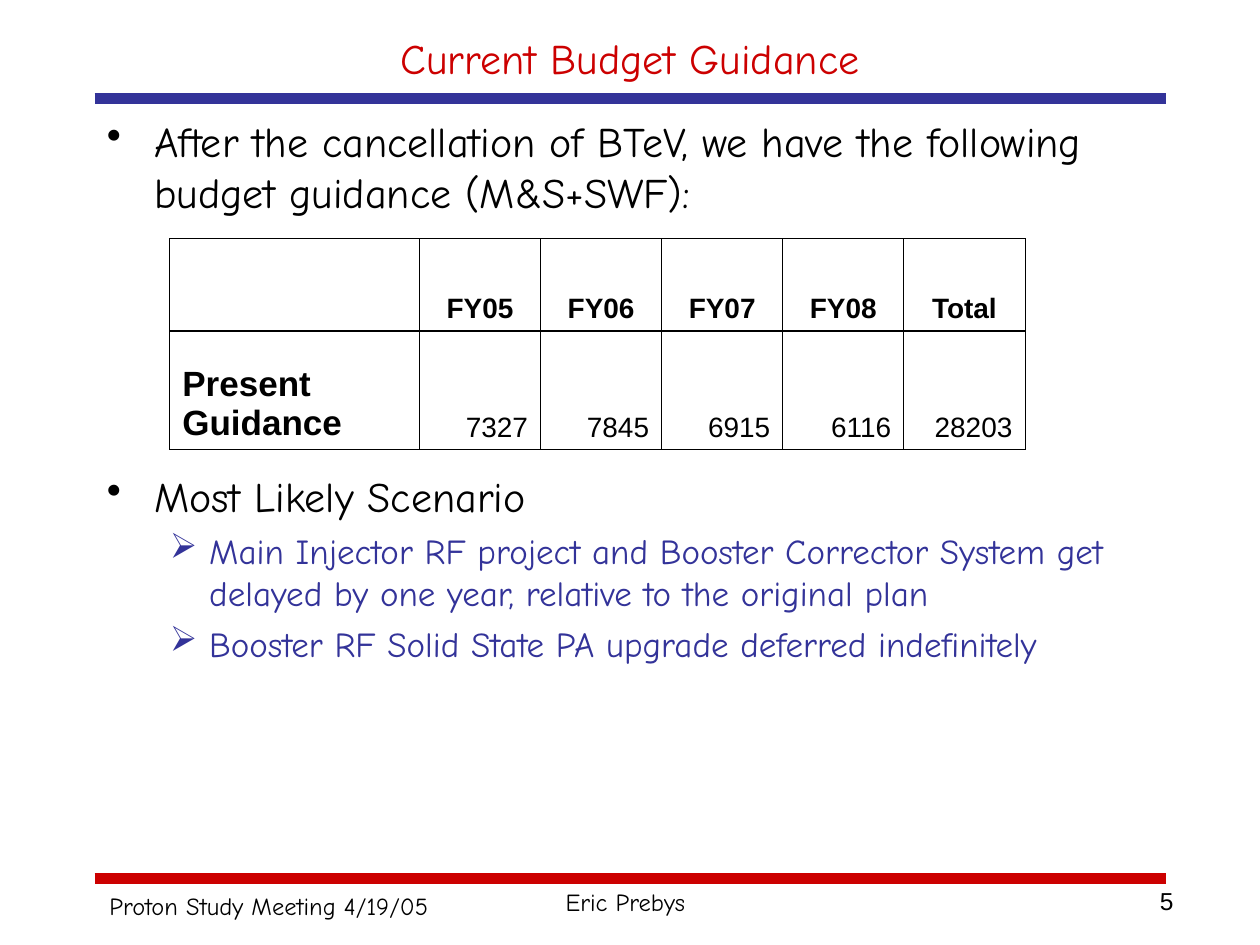
"""Build the budget guidance slide with its table and scenario bullets."""
from lxml.etree import SubElement
from pptx import Presentation
from pptx.dml.color import RGBColor
from pptx.enum.shapes import MSO_CONNECTOR
from pptx.enum.text import MSO_ANCHOR as Anchor, PP_ALIGN as Align
from pptx.oxml.ns import qn
from pptx.util import Pt

COLORS = {"ink": "000000", "red": "CC0000", "blue": "333399"}
COMIC, ARIAL = "Comic Neue", "Arial"

RULES = [("red", 501.9), ("blue", 56.2)]
LABELS = [
    ("Proton Study Meeting 4/19/05", (55.4, 505.5, 202.3, 24.5), dict(size=14)),
    ("Eric Prebys", (316.1, 503.3, 199.4, 24.5), dict(size=14)),
    ("Current Budget Guidance", (54, 12.2, 612, 41.8),
     dict(size=24, color="red", align=Align.CENTER, anchor=Anchor.MIDDLE)),
    ("5", (509.8, 502.6, 167.8, 37.4), dict(size=14, font=ARIAL, align=Align.RIGHT)),
]
LEVELS = [
    dict(mark="•", left=27, hang=27, size=24, color="ink"),
    dict(mark="➢", left=58.5, hang=22.5, size=20, color="blue"),
]
BULLETS = [
    (0, 0, "After the cancellation of BTeV, we have the following budget guidance (M&S+SWF):"),
    (0, 145, "Most Likely Scenario"),
    (1, 5, "Main Injector RF project and Booster Corrector System get delayed by one year, "
           "relative to the original plan"),
    (1, 5, "Booster RF Solid State PA upgrade deferred indefinitely"),
]
BUDGET = [
    ["", "FY05", "FY06", "FY07", "FY08", "Total"],
    ["Present Guidance", "7327", "7845", "6915", "6116", "28203"],
]
COLUMN_WIDTHS = [142.7] + [69.2] * 5
ROW_HEIGHTS = [53, 67.7]
HEADER = dict(size=16, font=ARIAL, bold=True, align=Align.CENTER)
ROW_NAME = dict(size=20, font=ARIAL, bold=True)
AMOUNT = dict(size=16, font=ARIAL, align=Align.RIGHT)
THIN, THICK = 0.45, 0.96


def rgb(color):
    return RGBColor.from_string(COLORS[color])


def write(paragraph, text, size, font=COMIC, color="ink", bold=False, align=Align.LEFT):
    paragraph.text = text
    paragraph.alignment = align
    paragraph.font.color.rgb = rgb(color)
    for name, value in dict(name=font, size=Pt(size), bold=bold).items():
        setattr(paragraph.font, name, value)


def add_frame(slide, place, anchor=Anchor.TOP):
    frame = slide.shapes.add_textbox(*map(Pt, place)).text_frame
    frame.word_wrap = True
    frame.vertical_anchor = anchor
    return frame


def add_rule(slide, color, top):
    rule = slide.shapes.add_connector(MSO_CONNECTOR.STRAIGHT, Pt(54), Pt(top), Pt(666), Pt(top))
    rule.line.color.rgb = rgb(color)
    rule.line.width = Pt(6)
    SubElement(rule._element.spPr, qn("a:effectLst"))


def add_bullets(slide):
    frame = add_frame(slide, (54, 62.6, 612, 434.9))
    for i, (level, gap, text) in enumerate(BULLETS):
        style = LEVELS[level]
        paragraph = frame.add_paragraph() if i else frame.paragraphs[0]
        paragraph.level = level
        paragraph.space_before = Pt(gap)
        props = paragraph._p.get_or_add_pPr()
        props.set("marL", str(Pt(style["left"])))
        props.set("indent", str(-Pt(style["hang"])))
        bullet_color = SubElement(props, qn("a:buClr"))
        SubElement(bullet_color, qn("a:srgbClr"), val=COLORS[style["color"]])
        SubElement(props, qn("a:buChar"), char=style["mark"])
        write(paragraph, text, style["size"], color=style["color"])


def add_borders(cell, widths):
    props = cell._tc.get_or_add_tcPr()
    for side, width in widths.items():
        border = SubElement(props, qn(f"a:ln{side}"), w=str(Pt(width)))
        fill = SubElement(border, qn("a:solidFill"))
        SubElement(fill, qn("a:srgbClr"), val=COLORS["ink"])


def add_budget(slide):
    table = slide.shapes.add_table(
        len(BUDGET), len(COLUMN_WIDTHS), Pt(97), Pt(136.2),
        Pt(sum(COLUMN_WIDTHS)), Pt(sum(ROW_HEIGHTS))).table
    table.first_row = table.horz_banding = False
    for column, width in zip(table.columns, COLUMN_WIDTHS):
        column.width = Pt(width)
    for r, (row, height) in enumerate(zip(BUDGET, ROW_HEIGHTS)):
        table.rows[r].height = Pt(height)
        for c, text in enumerate(row):
            cell = table.cell(r, c)
            cell.vertical_anchor = Anchor.BOTTOM
            style = HEADER if r == 0 else AMOUNT if c else ROW_NAME
            write(cell.text_frame.paragraphs[0], text, **style)
            add_borders(cell, dict(L=THIN, R=THIN, T=THICK if r else THIN, B=THIN if r else THICK))
            cell.fill.background()


def main():
    deck = Presentation()
    deck.slide_width, deck.slide_height = Pt(720), Pt(540)
    slide = deck.slides.add_slide(deck.slide_layouts[6])
    for color, top in RULES:
        add_rule(slide, color, top)
    for text, place, style in LABELS:
        anchor = style.get("anchor", Anchor.TOP)
        look = {key: value for key, value in style.items() if key != "anchor"}
        write(add_frame(slide, place, anchor).paragraphs[0], text, **look)
    add_bullets(slide)
    add_budget(slide)
    deck.save("out.pptx")


if __name__ == "__main__":
    main()
